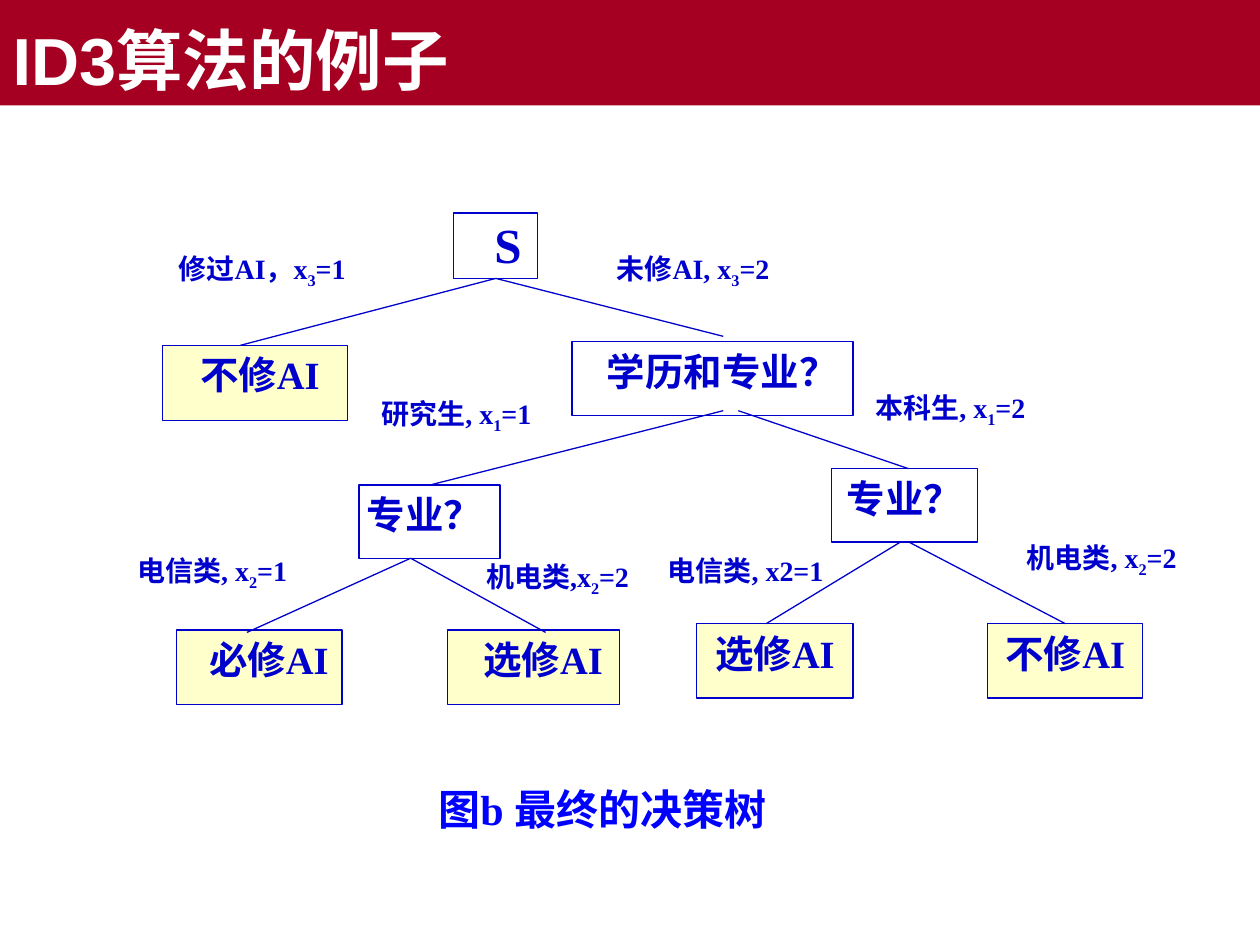
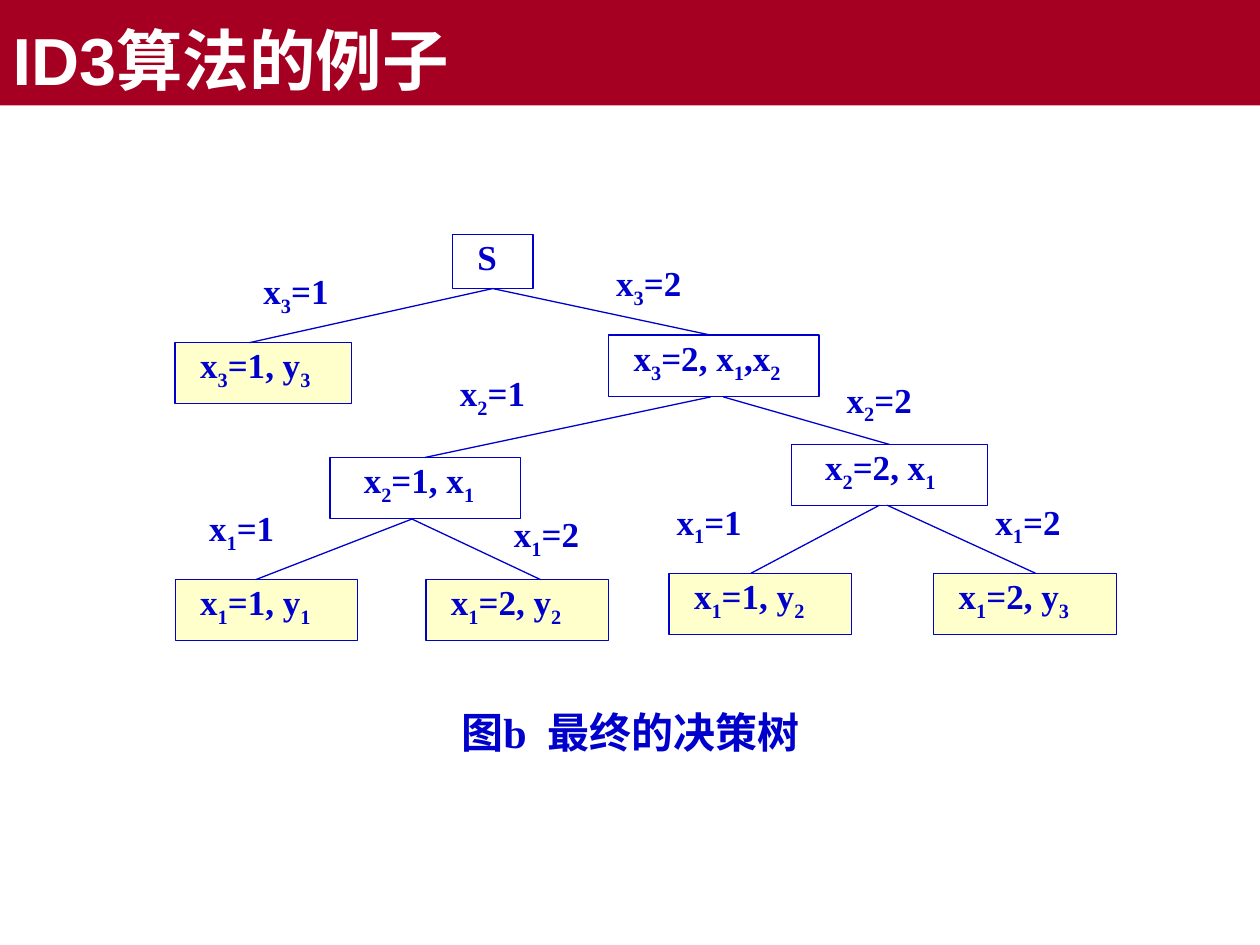
from pptx import Presentation
from pptx.dml.color import RGBColor
from pptx.enum.shapes import MSO_CONNECTOR, MSO_SHAPE
from pptx.enum.text import MSO_ANCHOR, PP_ALIGN
from pptx.oxml.ns import qn
from pptx.util import Pt
from lxml import etree

CRIMSON = RGBColor(0xA5, 0x00, 0x21)
WHITE = RGBColor(0xFF, 0xFF, 0xFF)
CREAM = RGBColor(0xFF, 0xFF, 0xCC)
NAVY = RGBColor(0x00, 0x00, 0xCC)
BLUE = RGBColor(0x00, 0x00, 0xFF)
SERIF = "Times New Roman"
CENTER, JUSTIFY = PP_ALIGN.CENTER, PP_ALIGN.JUSTIFY
TOP, BOTTOM = 0, 2  # connection sites of a rectangle

# Each tree: questions and leaves as
#   key: (text, left, top, width, height, fill, size, align, indent, top inset)
# branches as (parent, start, child, end), where None joins the side's middle,
# and labels as (text, left, top, width, align). "_" lowers the next character.
course_tree = {
    "nodes": {
        "root": ("S", 259.2, 121.7, 48.2, 37.4, WHITE, 28, CENTER, 14, 0.7),
        "taken": ("不修AI", 92.9, 197.3, 105.8, 43, CREAM, 22, CENTER, 5.5, 3.6),
        "open": ("学历和专业？", 326.9, 195.1, 160.6, 42.5, WHITE, 22, CENTER, 11, 3.6),
        "graduate": ("专业？", 205.2, 277.2, 80.6, 42, WHITE, 22, JUSTIFY, 0, 3.6),
        "undergrad": ("专业？", 475.2, 267.8, 83.5, 42, WHITE, 22, CENTER, 0, 3.6),
        "leaf 1": ("必修AI", 100.8, 360, 94.6, 42.5, CREAM, 22, CENTER, 11, 3.6),
        "leaf 2": ("选修AI", 255.6, 360, 98.6, 42.5, CREAM, 22, CENTER, 11, 3.6),
        "leaf 3": ("选修AI", 398.2, 356.4, 89.3, 42.5, CREAM, 22, CENTER, 0, 3.6),
        "leaf 4": ("不修AI", 564.5, 356.4, 88.6, 42.5, CREAM, 22, CENTER, 0, 3.6),
    },
    "branches": [
        ("root", None, "taken", (137.5, 197.3)),
        ("root", None, "open", (413.3, 192.2)),
        ("open", (413.3, 234.7), "graduate", None),
        ("open", (421.9, 234.7), "undergrad", (519.1, 267.8)),
        ("graduate", (234.7, 319), "leaf 1", (141.1, 361.4)),
        ("graduate", (234.7, 319), "leaf 2", (311.8, 361.4)),
        ("undergrad", (514.8, 309.6), "leaf 3", (437.8, 356.4)),
        ("undergrad", (519.1, 309.6), "leaf 4", None),
    ],
    "labels": [
        ("修过AI，x_3=1", 97.9, 143.3, 113, JUSTIFY),
        ("未修AI, x_3=2", 339.1, 143.3, 113.8, CENTER),
        ("研究生, x_1=1", 213.8, 226.1, 106.6, JUSTIFY),
        ("本科生, x_1=2", 496.1, 222.5, 109.4, JUSTIFY),
        ("电信类, x_2=1", 74.2, 315.4, 107.3, JUSTIFY),
        ("机电类,x_2=2", 273.6, 319, 100.8, JUSTIFY),
        ("电信类, x2=1", 377.3, 315.4, 107.3, JUSTIFY),
        ("机电类, x_2=2", 582.5, 308.2, 106.6, JUSTIFY),
    ],
    "label size": 16,
    "caption": (243.4, 444.2, 243.4, 46.8, BLUE, JUSTIFY, 0),
}
symbol_tree = {
    "nodes": {
        "root": ("S", 258.5, 133.9, 46.1, 31, WHITE, 20, JUSTIFY, 10, 0.7),
        "taken": ("x_3=1, y_3", 100.1, 195.8, 100.8, 35, CREAM, 20, JUSTIFY, 10, 0.7),
        "open": ("x_3=2, x_1,x_2", 347.8, 191.5, 120.2, 35, WHITE, 20, JUSTIFY, 10, 0.7),
        "left": ("x_2=1, x_1", 188.6, 261.4, 108.7, 35, WHITE, 20, JUSTIFY, 15, 0.7),
        "right": ("x_2=2, x_1", 452.2, 254, 112.3, 35, WHITE, 20, JUSTIFY, 15, 0.7),
        "leaf 1": ("x_1=1, y_1", 100.1, 331.2, 104.4, 35, CREAM, 20, JUSTIFY, 10, 0.7),
        "leaf 2": ("x_1=2, y_2", 243.4, 331.2, 104.4, 35, CREAM, 20, JUSTIFY, 10, 0.7),
        "leaf 3": ("x_1=1, y_2", 382.3, 327.6, 104.4, 35, CREAM, 20, JUSTIFY, 10, 0.7),
        "leaf 4": ("x_1=2, y_3", 533.5, 327.6, 104.4, 35, CREAM, 20, JUSTIFY, 10, 0.7),
    },
    "branches": [
        ("root", None, "taken", (142.6, 195.8)),
        ("root", None, "open", (406.1, 191.5)),
        ("open", (406.1, 226.8), "left", None),
        ("open", (413.3, 226.8), "right", None),
        ("left", (235.4, 296.6), "leaf 1", (146.2, 331.2)),
        ("left", (235.4, 296.6), "leaf 2", (308.9, 331.2)),
        ("right", (502.6, 288.7), "leaf 3", (429.1, 327.6)),
        ("right", (506.9, 288.7), "leaf 4", (591.8, 327.6)),
    ],
    "labels": [
        ("x_3=1", 146.2, 153.4, 58.3, JUSTIFY),
        ("x_3=2", 347.8, 149, 58.3, JUSTIFY),
        ("x_2=1", 258.5, 211.7, 58.3, JUSTIFY),
        ("x_2=2", 479.5, 215.3, 62, JUSTIFY),
        ("x_1=1", 115.2, 288.7, 58.3, JUSTIFY),
        ("x_1=2", 289.4, 292.3, 58.3, JUSTIFY),
        ("x_1=1", 382.3, 285.1, 62, JUSTIFY),
        ("x_1=2", 564.5, 285.1, 58.3, JUSTIFY),
    ],
    "label size": 20,
    "caption": (244.1, 400.3, 232.6, 38.9, NAVY, CENTER, 6),
}


def add_run(paragraph, text, size, color, font=SERIF, **attributes):
    run = paragraph.add_run()
    run.text = text
    run.font.size, run.font.bold, run.font.name = Pt(size), True, font
    run.font.color.rgb = color
    for name, value in attributes.items():
        run.font._element.set(name, str(value))


def set_frame(shape, align, left, top, right):
    """Set insets and alignment; return the first paragraph."""
    frame = shape.text_frame
    frame.word_wrap = True
    frame.vertical_anchor = MSO_ANCHOR.TOP
    frame.margin_left, frame.margin_right = Pt(left), Pt(right)
    frame.margin_top = frame.margin_bottom = Pt(top)
    frame.paragraphs[0].alignment = align
    return frame.paragraphs[0]


prs = Presentation()
prs.slide_width, prs.slide_height = Pt(720), Pt(540)

for tree in (course_tree, symbol_tree):
    slide = prs.slides.add_slide(prs.slide_layouts[5])

    # Title band
    title = slide.shapes.title
    title.left, title.top, title.width, title.height = Pt(0), Pt(0), Pt(720), Pt(60.2)
    title.fill.solid()
    title.fill.fore_color.rgb = CRIMSON
    heading = set_frame(title, PP_ALIGN.LEFT, 7.2, 3.6, 7.2)
    title.text_frame.vertical_anchor = MSO_ANCHOR.BOTTOM
    add_run(heading, "ID3算法的例子", 38, WHITE, "Arial")

    # Nodes
    nodes = {}
    for key, (text, x, y, w, h, fill, size, align, indent, inset) in tree["nodes"].items():
        node = slide.shapes.add_shape(MSO_SHAPE.RECTANGLE, Pt(x), Pt(y), Pt(w), Pt(h))
        node.shadow.inherit = False
        node.fill.solid()
        node.fill.fore_color.rgb = fill
        node.line.color.rgb = NAVY
        node.line.width = Pt(0.75)
        paragraph = set_frame(node, align, 4.3 + indent, inset, 4.3)
        plain, *lowered = text.split("_")
        add_run(paragraph, plain, size, NAVY)
        for part in lowered:
            add_run(paragraph, part[0], size, NAVY, baseline=-25000)
            if part[1:]:
                add_run(paragraph, part[1:], size, NAVY)
        nodes[key] = node

    # Branches
    for parent, start, child, end in tree["branches"]:
        x1, y1 = start or (0, 0)
        x2, y2 = end or (0, 0)
        branch = slide.shapes.add_connector(
            MSO_CONNECTOR.STRAIGHT, Pt(x1), Pt(y1), Pt(x2), Pt(y2))
        if start is None:
            branch.begin_connect(nodes[parent], BOTTOM)
        if end is None:
            branch.end_connect(nodes[child], TOP)
        branch.line.color.rgb = NAVY
        branch.line.width = Pt(0.75)
        etree.SubElement(branch._element.spPr, qn("a:effectLst"))

    # Branch labels
    size = tree["label size"]
    for text, x, y, w, align in tree["labels"]:
        label = slide.shapes.add_textbox(Pt(x), Pt(y), Pt(w), Pt(size + 12))
        paragraph = set_frame(label, align, 4.3, 0.7, 4.3)
        plain, *lowered = text.split("_")
        add_run(paragraph, plain, size, NAVY)
        for part in lowered:
            add_run(paragraph, part[0], size, NAVY, baseline=-25000)
            add_run(paragraph, part[1:], size, NAVY)

    # Caption, with the gap after its letter widened by letter spacing
    x, y, w, h, color, align, gap = tree["caption"]
    caption = slide.shapes.add_textbox(Pt(x), Pt(y), Pt(w), Pt(h))
    caption.fill.solid()
    caption.fill.fore_color.rgb = WHITE
    paragraph = set_frame(caption, align, 7.2, 3.6, 7.2)
    add_run(paragraph, "图b", 24, color)
    add_run(paragraph, " ", 24, color, spc=gap * 100)
    add_run(paragraph, "最终的决策树", 24, color)

prs.save("out.pptx")
